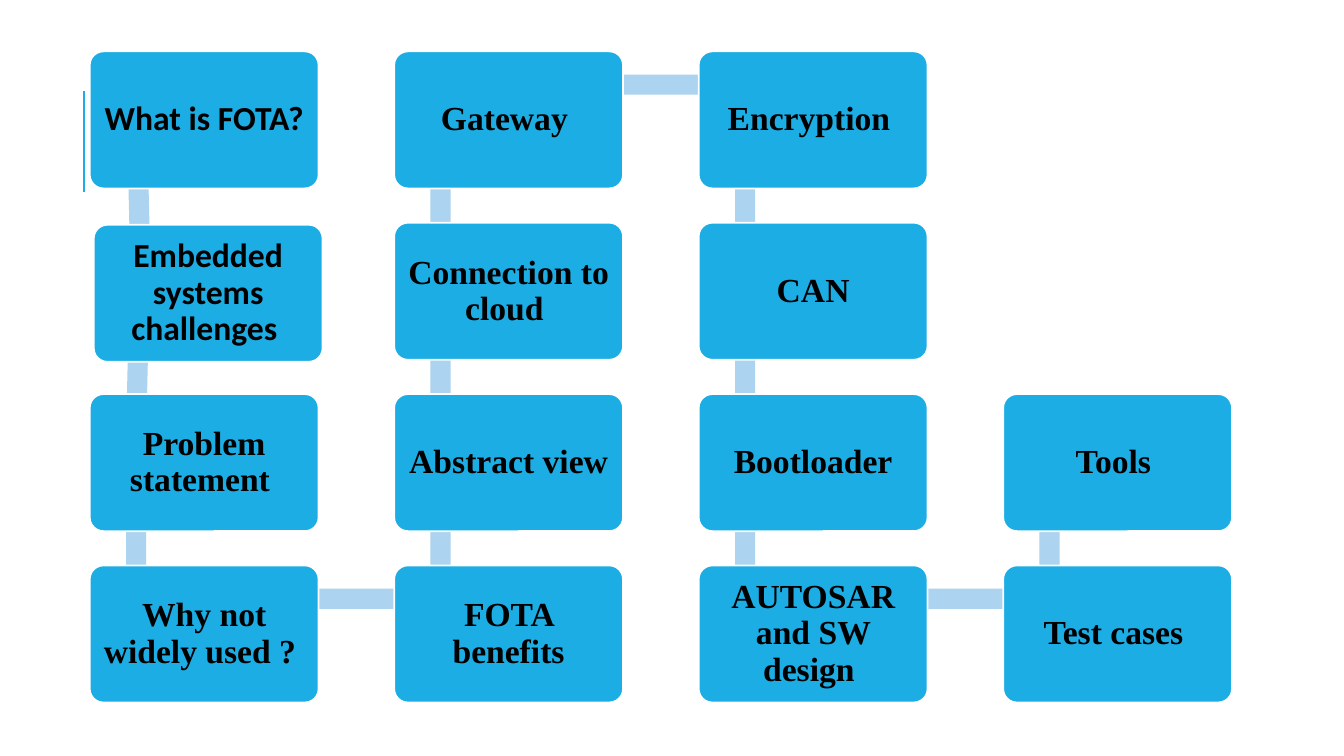
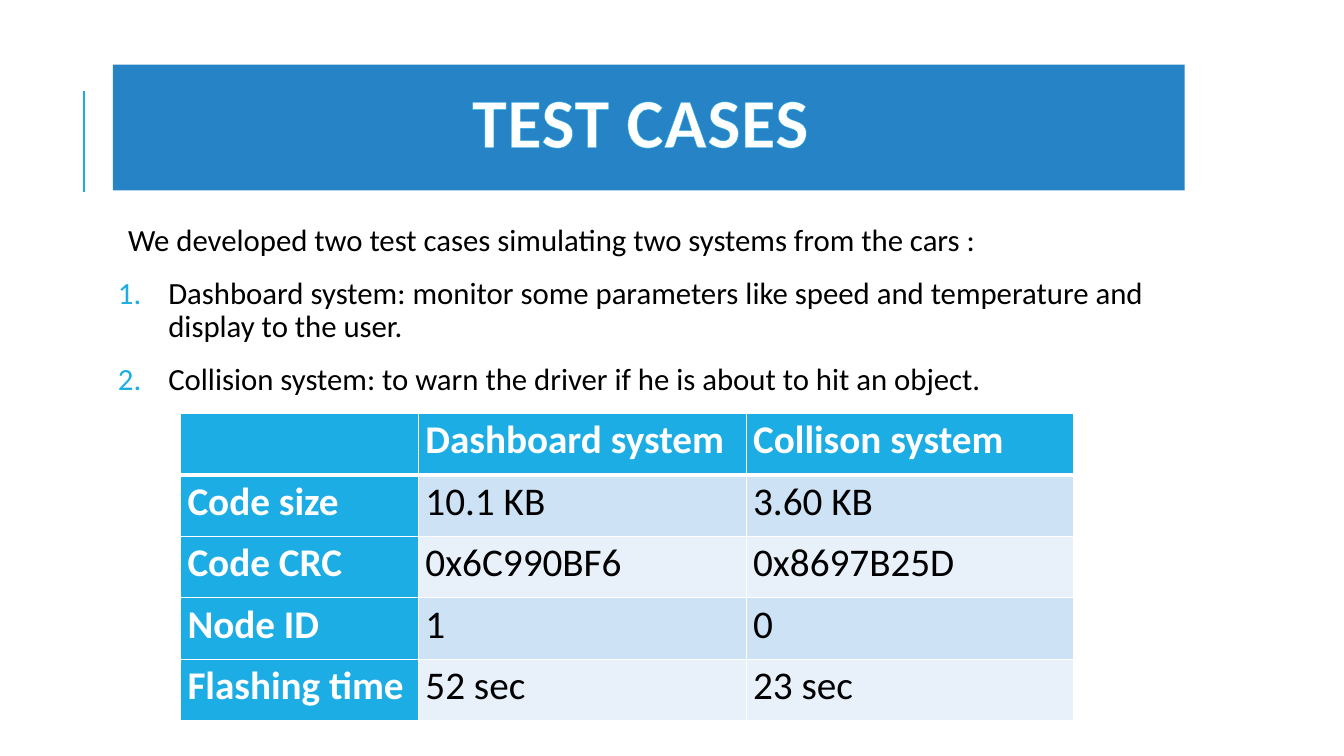
import math

from lxml import etree
from pptx import Presentation, util as u
from pptx.dml.color import RGBColor
from pptx.enum import shapes, text
from pptx.oxml.ns import qn

# Content
TOPIC_COLUMNS = [  # each column from top to bottom; None leaves a cell empty
    ["What is FOTA?", "Embedded systems challenges ", "Problem statement ", "Why not widely used ? "],
    ["Gateway ", "Connection to cloud ", "Abstract view ", "FOTA benefits"],
    ["Encryption ", "CAN", "Bootloader", "AUTOSAR and SW design "],
    [None, None, "Tools ", "Test cases "],
]
CALIBRI_TOPICS = TOPIC_COLUMNS[0][:2]
NUDGES = {"Embedded systems challenges ": (0.04, 0.02)}

TITLE = "TEST CASES "
INTRO = "We developed two test cases simulating two systems from the cars : "
CASES = [
    "Dashboard system: monitor some parameters like speed and temperature and display to the user. ",
    "Collision system: to warn the driver if he is about to hit an object.",
]
RESULTS = [
    ["", "Dashboard system", "Collison system"],
    ["Code size", "10.1 KB", "3.60 KB"],
    ["Code CRC", "0x6C990BF6", "0x8697B25D"],
    ["Node ID", "1", "0"],
    ["Flashing time", "52 sec", "23 sec"],
]
RESULT_WIDTHS = [2.36, 3.25, 3.25]  # wide enough for one-line headings
RESULT_ROW = 0.61

# Shared style
SKY = RGBColor(0x1C, 0xAD, 0xE4)
BLUE = RGBColor(0x26, 0x83, 0xC6)
PALE = RGBColor(0xAC, 0xD3, 0xEF)
BAND_DARK = RGBColor(0xCD, 0xE3, 0xF5)
BAND_LIGHT = RGBColor(0xE8, 0xF1, 0xFA)
BLACK = RGBColor(0, 0, 0)
WHITE = RGBColor(0xFF, 0xFF, 0xFF)
SANS, SERIF = "Calibri", "Times New Roman"

# Topic grid, in inches
GRID_LEFT, GRID_TOP = 0.89, 0.51
PITCH_X, PITCH_Y = 3.02, 1.7
BOX_W, BOX_H = 2.27, 1.36
ANCHOR_X, ANCHOR_Y, BAR = 0.46, 0.33, 0.2


def inches(*values):
    return [u.Inches(value) for value in values]


def set_margins(frame, horizontal, vertical):
    frame.margin_left = frame.margin_right = u.Inches(horizontal)
    frame.margin_top = frame.margin_bottom = u.Inches(vertical)


def style(para, size, color, bold=False, font=SANS):
    for span in para.runs:
        span.font.name, span.font.size = font, u.Pt(size)
        span.font.bold, span.font.color.rgb = bold, color


def add_line_xml(parent, tag, color, points):
    line = etree.SubElement(parent, qn(tag), w=str(u.Pt(points)))
    fill = etree.SubElement(line, qn("a:solidFill"))
    etree.SubElement(fill, qn("a:srgbClr"), val=str(color))


def add_block(page, kind, box, fill):
    block = page.shapes.add_shape(kind, *inches(*box))
    block.shadow.inherit = False
    block.fill.solid()
    block.fill.fore_color.rgb = fill
    block.line.fill.background()
    return block


def add_page(deck):
    page = deck.slides.add_slide(deck.slide_layouts[6])
    rule = page.shapes.add_connector(shapes.MSO_CONNECTOR.STRAIGHT, *inches(0.83, 1.9, 0.83, 0.9))
    rule.line.color.rgb, rule.line.width = SKY, u.Pt(1.5)
    etree.SubElement(rule._element.spPr, qn("a:effectLst"))
    return page


def add_topics(page):
    # Walk the grid down one column and up the next
    topics = []
    for column, names in enumerate(TOPIC_COLUMNS):
        cells = [(name, row) for row, name in enumerate(names) if name]
        for name, row in cells[::-1] if column % 2 else cells:
            dx, dy = NUDGES.get(name, (0, 0))
            topics.append((name, GRID_LEFT + column * PITCH_X + dx, GRID_TOP + row * PITCH_Y + dy))

    # Bars from topic to topic, behind the boxes
    for (_, x1, y1), (_, x2, y2) in zip(topics, topics[1:]):
        length = math.hypot(x2 - x1, y2 - y1)
        left = (x1 + x2 - length) / 2 + ANCHOR_X
        top = (y1 + y2 - BAR) / 2 + ANCHOR_Y
        bar = add_block(page, shapes.MSO_SHAPE.RECTANGLE, (left, top, length, BAR), PALE)
        bar.rotation = math.degrees(math.atan2(y2 - y1, x2 - x1))

    for name, left, top in topics:
        box = add_block(page, shapes.MSO_SHAPE.ROUNDED_RECTANGLE, (left, top, BOX_W, BOX_H), SKY)
        box.adjustments[0] = 0.1
        box.line.color.rgb, box.line.width = WHITE, u.Pt(1.25)
        frame = box.text_frame
        frame.word_wrap, frame.vertical_anchor = True, text.MSO_ANCHOR.MIDDLE
        set_margins(frame, 0.1, 0.1)
        frame.text = name
        para = frame.paragraphs[0]
        para.alignment, para.line_spacing = text.PP_ALIGN.CENTER, 0.9
        style(para, 24, BLACK, True, SANS if name in CALIBRI_TOPICS else SERIF)


def add_title(page):
    band = add_block(page, shapes.MSO_SHAPE.RECTANGLE, (1.12, 0.64, 10.63, 1.25), BLUE)
    frame = band.text_frame
    frame.word_wrap, frame.vertical_anchor = True, text.MSO_ANCHOR.MIDDLE
    frame.text = TITLE
    para = frame.paragraphs[0]
    para.alignment, para.line_spacing = text.PP_ALIGN.CENTER, 0.8
    properties = para.runs[0]._r.get_or_add_rPr()
    properties.set("spc", "50")
    add_line_xml(properties, "a:ln", SKY, 0.75)
    style(para, 50, WHITE, True)


def add_cases(page):
    frame = page.shapes.add_textbox(*inches(1.12, 2.18, 10.27, 1.85)).text_frame
    frame.word_wrap = True
    set_margins(frame, 0.05, 0.05)
    frame.text = "\n".join([INTRO] + CASES)
    for index, para in enumerate(frame.paragraphs):
        para.alignment, para.line_spacing = text.PP_ALIGN.JUSTIFY, 0.9
        para.space_after = u.Pt(2)
        properties = para._p.get_or_add_pPr()
        properties.set("marL", str(u.Inches(0.5 if index else 0.1)))
        if index:
            para.space_before = u.Pt(12)
            properties.set("indent", str(u.Inches(-0.5)))
            color = etree.SubElement(properties, qn("a:buClr"))
            etree.SubElement(color, qn("a:srgbClr"), val=str(SKY))
            etree.SubElement(properties, qn("a:buAutoNum"), type="arabicPeriod")
        style(para, 22, BLACK)


def add_results(page):
    rows, columns = len(RESULTS), len(RESULT_WIDTHS)
    size = sum(RESULT_WIDTHS), RESULT_ROW * rows
    table = page.shapes.add_table(rows, columns, *inches(1.79, 4.1, *size)).table
    for column, width in zip(table.columns, RESULT_WIDTHS):
        column.width = u.Inches(width)
    for row, values in enumerate(RESULTS):
        for column, value in enumerate(values):
            cell = table.cell(row, column)
            heading = row == 0 or column == 0
            set_margins(cell, 0.07, 0)
            properties = cell._tc.get_or_add_tcPr()
            for side in "LRTB":
                heavy = (row, side) in ((0, "B"), (1, "T"))
                add_line_xml(properties, "a:ln" + side, WHITE, 3 if heavy else 1)
            cell.fill.solid()
            cell.fill.fore_color.rgb = SKY if heading else BAND_DARK if row % 2 else BAND_LIGHT
            cell.text = value
            para = cell.text_frame.paragraphs[0]
            para.line_spacing = 1.07
            style(para, 28, WHITE if heading else BLACK, heading)


def main():
    deck = Presentation()
    deck.slide_width, deck.slide_height = inches(13.33, 7.5)
    add_topics(add_page(deck))
    page = add_page(deck)
    add_cases(page)
    add_title(page)
    add_results(page)
    deck.save("out.pptx")


if __name__ == "__main__":
    main()
